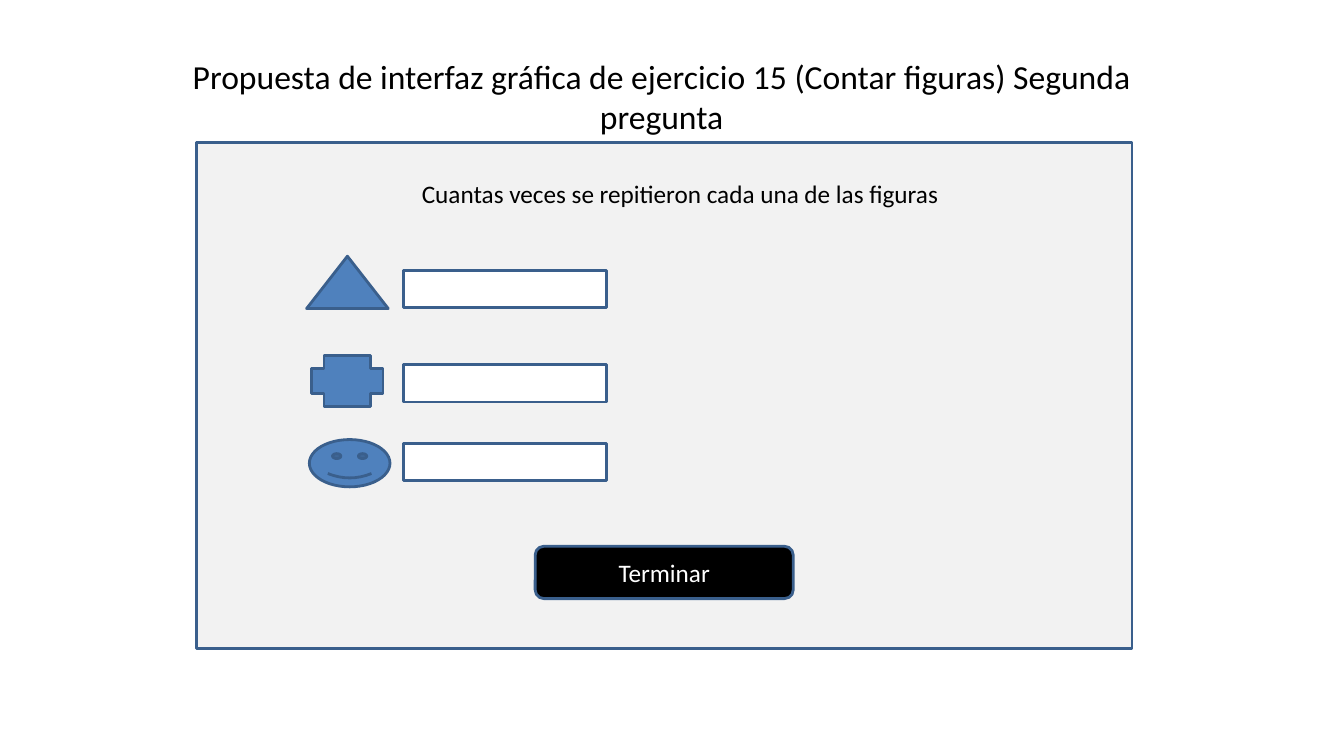
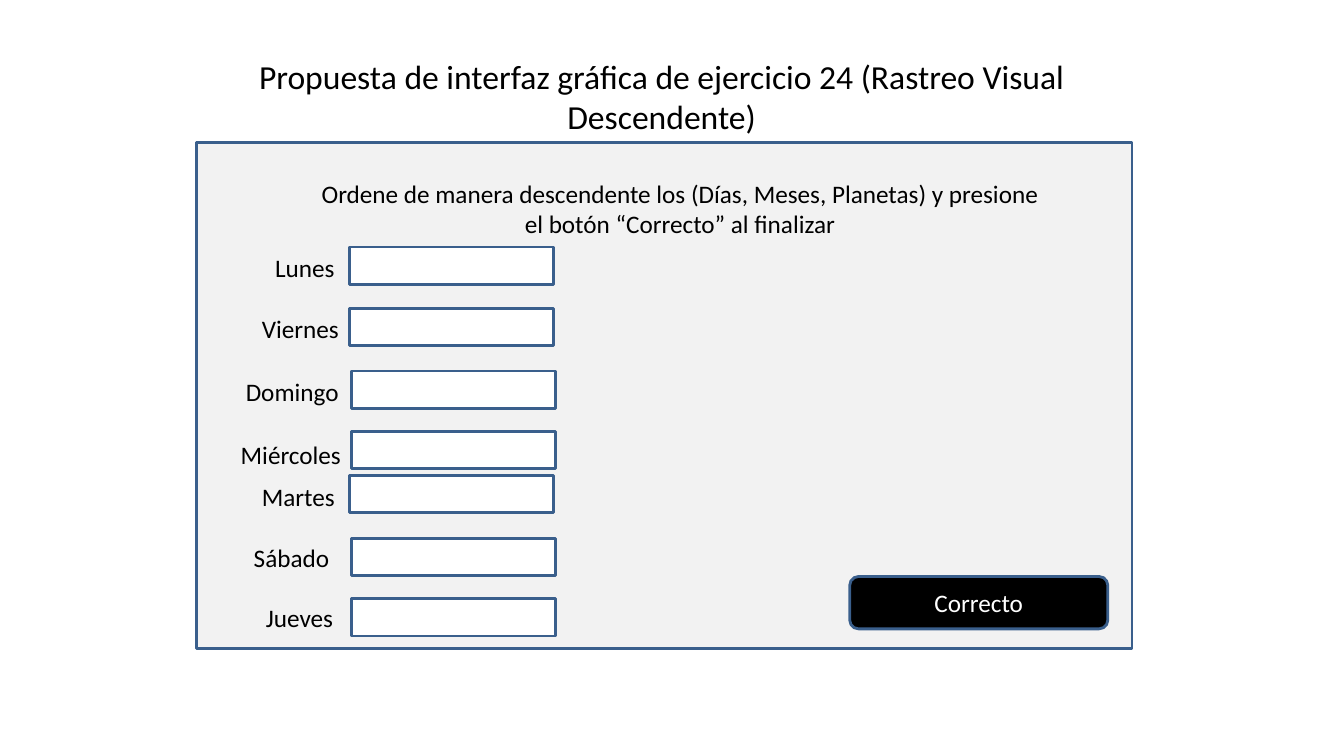
from pptx import Presentation
from pptx.dml.color import RGBColor
from pptx.enum.shapes import MSO_SHAPE
from pptx.enum.text import MSO_ANCHOR, MSO_AUTO_SIZE, PP_ALIGN
from pptx.util import Pt

BLACK = "000000"
WHITE = "FFFFFF"
PANEL_GREY = "F2F2F2"
FIGURE_BLUE = "4F81BD"
OUTLINE_BLUE = "3A5F8C"
FIELD_SIZE = (145.4, 26.6)
BUTTON_SIZE = (184.3, 37.4)


def add_box(slide, kind, left, top, width, height, fill):
    shape = slide.shapes.add_shape(kind, Pt(left), Pt(top), Pt(width), Pt(height))
    shape.shadow.inherit = False
    shape.fill.solid()
    shape.fill.fore_color.rgb = RGBColor.from_string(fill)
    shape.line.color.rgb = RGBColor.from_string(OUTLINE_BLUE)
    shape.line.width = Pt(2)
    return shape


def write_text(shape, text, size, color, alignment, anchor=MSO_ANCHOR.TOP):
    frame = shape.text_frame
    frame.word_wrap = True
    frame.auto_size = MSO_AUTO_SIZE.NONE
    frame.vertical_anchor = anchor
    paragraph = frame.paragraphs[0]
    paragraph.text = text
    paragraph.alignment = alignment
    paragraph.font.name = "Calibri"
    paragraph.font.size = Pt(size)
    paragraph.font.color.rgb = RGBColor.from_string(color)


presentation = Presentation()
presentation.slide_width = Pt(960)
presentation.slide_height = Pt(540)

screens = [
    ("Propuesta de interfaz gráfica de ejercicio 15 (Contar figuras) Segunda pregunta",
     "Cuantas veces se repitieron cada una de las figuras", 28.8,
     "Terminar", 382.3, 390.2),
    ("Propuesta de interfaz gráfica de ejercicio 24 (Rastreo Visual Descendente)",
     "Ordene de manera descendente los (Días, Meses, Planetas) y presione "
     "el botón “Correcto” al finalizar", 50.4,
     "Correcto", 607, 411.8),
]

slides = []
for title_text, instruction, instruction_height, button_text, button_left, button_top in screens:
    slide = presentation.slides.add_slide(presentation.slide_layouts[5])
    slides.append(slide)

    title = slide.shapes.title
    title.left, title.top, title.width, title.height = Pt(120.6), Pt(36), Pt(704), Pt(64.8)
    write_text(title, title_text, 24, BLACK, PP_ALIGN.CENTER)

    add_box(slide, MSO_SHAPE.RECTANGLE, 140.6, 101.5, 668, 361.5, PANEL_GREY)

    prompt = slide.shapes.add_textbox(Pt(219), Pt(123.8), Pt(533.5), Pt(instruction_height))
    write_text(prompt, instruction, 18, BLACK, PP_ALIGN.CENTER)

    button = add_box(slide, MSO_SHAPE.ROUNDED_RECTANGLE, button_left, button_top, *BUTTON_SIZE, BLACK)
    write_text(button, button_text, 18, WHITE, PP_ALIGN.CENTER, MSO_ANCHOR.MIDDLE)

counting_slide, ordering_slide = slides

figures = [
    (MSO_SHAPE.ISOSCELES_TRIANGLE, 219, 183, 58.3, 37.4, 193),
    (MSO_SHAPE.CROSS, 222.5, 254.2, 51.1, 36, 260.6),
    (MSO_SHAPE.SMILEY_FACE, 221, 314, 57.6, 33.8, 316.8),
]
for kind, left, top, width, height, field_top in figures:
    add_box(counting_slide, kind, left, top, width, height, FIGURE_BLUE)
    add_box(counting_slide, MSO_SHAPE.RECTANGLE, 288, field_top, *FIELD_SIZE, WHITE)

days = [
    ("Lunes", 189.4, 176.4, 249.8, 176.4),
    ("Viernes", 180, 220.3, 249.8, 220.3),
    ("Domingo", 168.5, 265, 251.3, 265),
    ("Miércoles", 164.9, 310.3, 251.3, 308.2),
    ("Martes", 180, 340.6, 249.8, 339.8),
    ("Sábado", 174.2, 383.8, 251.3, 384.5),
    ("Jueves", 182.9, 427, 251.3, 427.7),
]
for day, label_left, label_top, field_left, field_top in days:
    label = ordering_slide.shapes.add_textbox(Pt(label_left), Pt(label_top), Pt(165.6), Pt(28.8))
    write_text(label, day, 18, BLACK, PP_ALIGN.LEFT)
    add_box(ordering_slide, MSO_SHAPE.RECTANGLE, field_left, field_top, *FIELD_SIZE, WHITE)

presentation.save("out.pptx")
